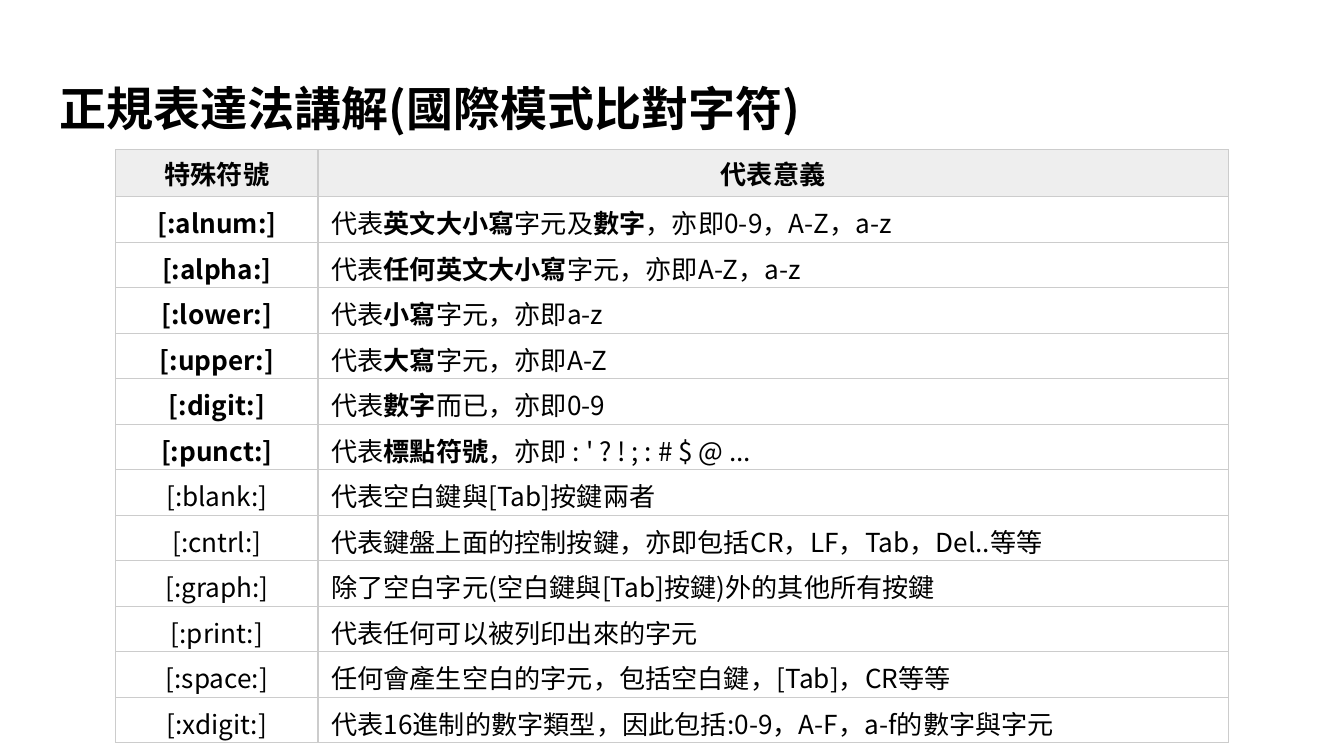
"""Build a slide with a table of POSIX character classes."""
from lxml import etree
from pptx import Presentation
from pptx import util as u
from pptx.dml.color import RGBColor
from pptx.enum import text
from pptx.oxml import parse_xml
from pptx.oxml.ns import nsdecls, qn

FONT = "Noto Sans CJK SC"
ROWS = [
    ("*特殊符號*", "*代表意義*"),
    ("*[:alnum:]*", "代表*英文大小寫*字元及*數字*，亦即0-9，A-Z，a-z"),
    ("*[:alpha:]*", "代表*任何英文大小寫*字元，亦即A-Z，a-z"),
    ("*[:lower:]*", "代表*小寫*字元，亦即a-z"),
    ("*[:upper:]*", "代表*大寫*字元，亦即A-Z"),
    ("*[:digit:]*", "代表*數字*而已，亦即0-9"),
    ("*[:punct:]*", "代表*標點符號*，亦即 : ' ? ! ; : # $ @ ..."),
    ("[:blank:]", "代表空白鍵與[Tab]按鍵兩者"),
    ("[:cntrl:]", "代表鍵盤上面的控制按鍵，亦即包括CR，LF，Tab，Del..等等"),
    ("[:graph:]", "除了空白字元(空白鍵與[Tab]按鍵)外的其他所有按鍵"),
    ("[:print:]", "代表任何可以被列印出來的字元"),
    ("[:space:]", "任何會產生空白的字元，包括空白鍵，[Tab]，CR等等"),
    ("[:xdigit:]", "代表16進制的數字類型，因此包括:0-9，A-F，a-f的數字與字元"),
]


def color(value):
    """Turn a hex string into a colour."""
    return RGBColor.from_string(value)


def add_runs(p, marked, size):
    """Add runs to a paragraph, with the parts between asterisks in bold."""
    for i, part in enumerate(marked.split("*")):
        if part:
            r = p.add_run()
            r.text = part
            for name, value in {"size": u.Pt(size), "bold": i % 2 == 1, "name": FONT}.items():
                setattr(r.font, name, value)
            r.font.color.rgb = color("000000")
            ea = etree.SubElement(r.font._element, qn("a:ea"))
            ea.set("typeface", FONT)


prs = Presentation()
prs.slide_width, prs.slide_height = u.Cm(25.4), u.Cm(14.29)
s = prs.slides.add_slide(prs.slide_layouts[5])

title = s.shapes.title
place = {"left": 0.87, "top": 1.24, "width": 23.67, "height": 1.6}
for name, value in place.items():
    setattr(title, name, u.Cm(value))
tf = title.text_frame
for name in ("margin_left", "margin_top", "margin_right", "margin_bottom"):
    setattr(tf, name, u.Cm(0.25))
tf.vertical_anchor = text.MSO_ANCHOR.MIDDLE
tf.auto_size = text.MSO_AUTO_SIZE.NONE
p = tf.paragraphs[0]
p.alignment = text.PP_ALIGN.LEFT
add_runs(p, "*正規表達法講解(國際模式比對字符)*", 25.2)

widths = (3.82, 17.2)
frame = s.shapes.add_table(len(ROWS), 2, u.Cm(2.19), u.Cm(2.83), u.Cm(sum(widths)), u.Cm(11.2))
table = frame.table
table.horz_banding = False
for col, width in zip(table.columns, widths):
    col.width = u.Cm(width)

cell_format = {
    "margin_left": u.Cm(0.25), "margin_right": u.Cm(0.25),
    "margin_top": 0, "margin_bottom": 0,
    "vertical_anchor": text.MSO_ANCHOR.MIDDLE,
}
for i, row in enumerate(ROWS):
    header = i == 0
    table.rows[i].height = u.Cm(0.89 if header else 0.86)
    for j, marked in enumerate(row):
        cell = table.cell(i, j)
        for name, value in cell_format.items():
            setattr(cell, name, value)
        p = cell.text_frame.paragraphs[0]
        p.alignment = text.PP_ALIGN.CENTER if header or j == 0 else text.PP_ALIGN.LEFT
        p.line_spacing = 1.0 if header else 1.15
        add_runs(p, marked, 14)
        tcPr = cell._tc.get_or_add_tcPr()
        for side in ("lnL", "lnR", "lnT", "lnB"):
            tcPr.append(parse_xml(
                f'<a:{side} {nsdecls("a")} w="9525"><a:solidFill>'
                f'<a:srgbClr val="CCCCCC"/></a:solidFill></a:{side}>'))
        if header:
            cell.fill.solid()
            cell.fill.fore_color.rgb = color("EEEEEE")
        else:
            cell.fill.background()

prs.save("out.pptx")
